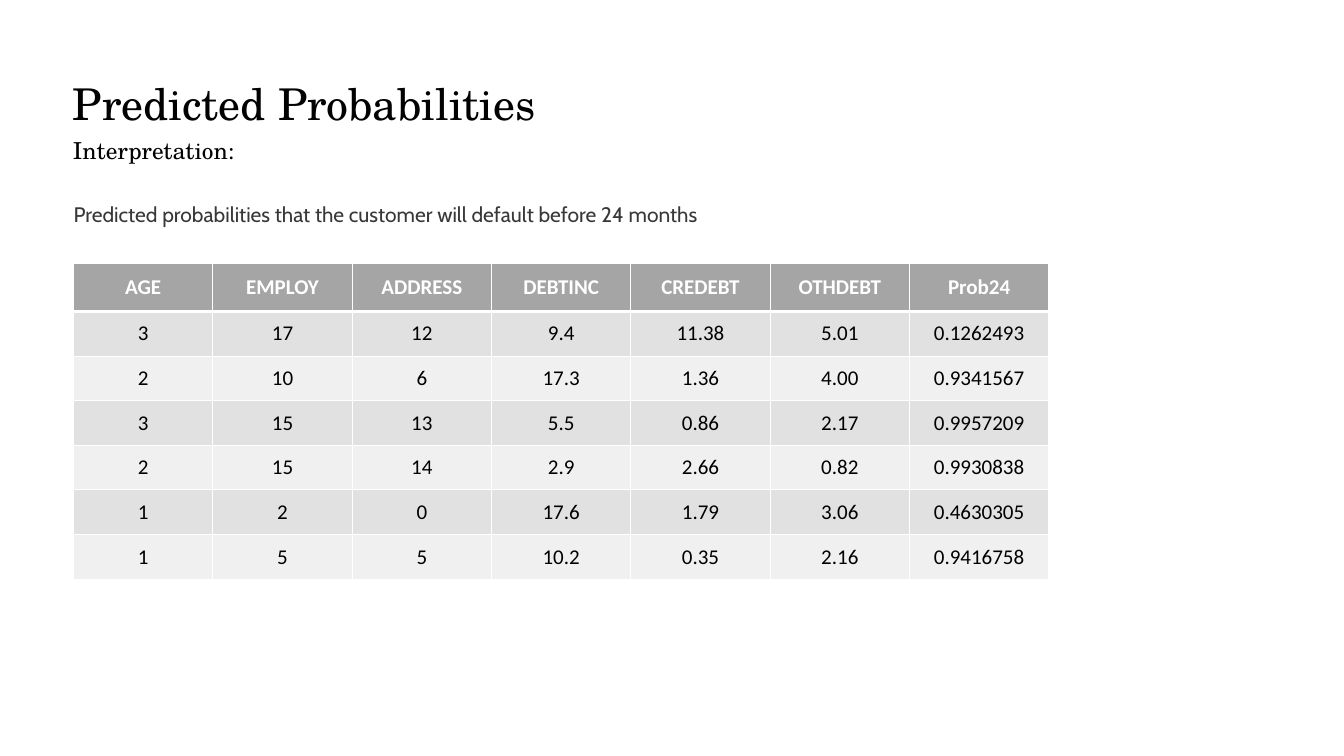
from dataclasses import dataclass

from lxml import etree
from pptx import Presentation
from pptx.dml.color import RGBColor
from pptx.enum.text import MSO_ANCHOR, PP_ALIGN
from pptx.oxml.ns import qn
from pptx.util import Pt

CENTER = PP_ALIGN.CENTER
MIDDLE = MSO_ANCHOR.MIDDLE


@dataclass(frozen=True)
class Theme:
    paper: str = "FFFFFF"
    heading: str = "020202"
    body: str = "383838"
    cell_text: str = "000000"
    header_fill: str = "A5A5A5"
    bands: tuple = ("E1E1E1", "F0F0F0")
    heading_font: str = "TeX Gyre Schola"
    body_font: str = "Cabin"
    table_font: str = "Calibri"
    title_size: float = 37.5
    subtitle_size: float = 20
    body_size: float = 18


THEME = Theme()

HEADERS = ["AGE", "EMPLOY", "ADDRESS", "DEBTINC", "CREDEBT", "OTHDEBT", "Prob24"]
CUSTOMERS = [
    ["3", "17", "12", "9.4", "11.38", "5.01", "0.1262493"],
    ["2", "10", "6", "17.3", "1.36", "4.00", "0.9341567"],
    ["3", "15", "13", "5.5", "0.86", "2.17", "0.9957209"],
    ["2", "15", "14", "2.9", "2.66", "0.82", "0.9930838"],
    ["1", "2", "0", "17.6", "1.79", "3.06", "0.4630305"],
    ["1", "5", "5", "10.2", "0.35", "2.16", "0.9416758"],
]


def write(tf, text, *, font, size, color, bold=False, align=None, leading=None):
    p = tf.paragraphs[0]
    p.alignment = align
    if leading:
        p.line_spacing = Pt(leading)
    r = p.add_run()
    r.text = text
    r.font.name = font
    r.font.size = Pt(size)
    r.font.bold = bold
    r.font.color.rgb = RGBColor.from_string(color)


def add_text(s, x, y, w, h, text, **fmt):
    tf = s.shapes.add_textbox(Pt(x), Pt(y), Pt(w), Pt(h)).text_frame
    tf.margin_left = tf.margin_right = tf.margin_top = tf.margin_bottom = 0
    tf.word_wrap = False
    write(tf, text, **fmt)


def add_heading(s, x, y, w):
    """Title, subtitle and explanatory line."""
    serif = dict(font=THEME.heading_font, color=THEME.heading)
    add_text(s, x, y, w, 58.5, "Predicted Probabilities",
             size=THEME.title_size, leading=58.5, **serif)
    add_text(s, x, y + 53.5, w, 35, "Interpretation:",
             size=THEME.subtitle_size, leading=35, **serif)
    add_text(s, x + 0.5, y + 106.5, w, 35.5,
             "Predicted probabilities that the customer will default before 24 months",
             font=THEME.body_font, size=THEME.body_size, color=THEME.body, leading=35.5)


def set_borders(cell, **widths):
    tcPr = cell._tc.get_or_add_tcPr()
    for side in "LRTB":
        ln = etree.SubElement(tcPr, qn(f"a:ln{side}"), w=str(Pt(widths.get(side, 1))))
        fill = etree.SubElement(ln, qn("a:solidFill"))
        etree.SubElement(fill, qn("a:srgbClr"), val=THEME.paper)


def add_probability_table(s, x, y, w, h, header_h=41):
    rows = [HEADERS] + CUSTOMERS
    table = s.shapes.add_table(len(rows), len(HEADERS), Pt(x), Pt(y), Pt(w), Pt(h)).table
    for col in table.columns:
        col.width = Pt(w / len(HEADERS))
    for i, values in enumerate(rows):
        header = i == 0
        table.rows[i].height = Pt(header_h if header else (h - header_h) / len(CUSTOMERS))
        for j, text in enumerate(values):
            cell = table.cell(i, j)
            cell.margin_left = cell.margin_right = Pt(6)
            cell.margin_top = cell.margin_bottom = Pt(6 if header else 4.5)
            cell.vertical_anchor = MIDDLE
            # A thick rule parts the header from the data
            set_borders(cell, B=3 if header else 1, T=3 if i == 1 else 1)
            cell.fill.solid()
            cell.fill.fore_color.rgb = RGBColor.from_string(
                THEME.header_fill if header else THEME.bands[(i - 1) % 2])
            write(cell.text_frame, text, font=THEME.table_font, size=THEME.body_size,
                  color=THEME.paper if header else THEME.cell_text,
                  bold=header, align=CENTER)


def main():
    prs = Presentation()
    prs.slide_width, prs.slide_height = Pt(1152), Pt(648)
    s = prs.slides.add_slide(prs.slide_layouts[6])
    s.background.fill.solid()
    s.background.fill.fore_color.rgb = RGBColor.from_string(THEME.paper)
    add_heading(s, 62.5, 52.5, 1026)
    add_probability_table(s, 63, 226, 836, 270.5)
    prs.save("out.pptx")


if __name__ == "__main__":
    main()
